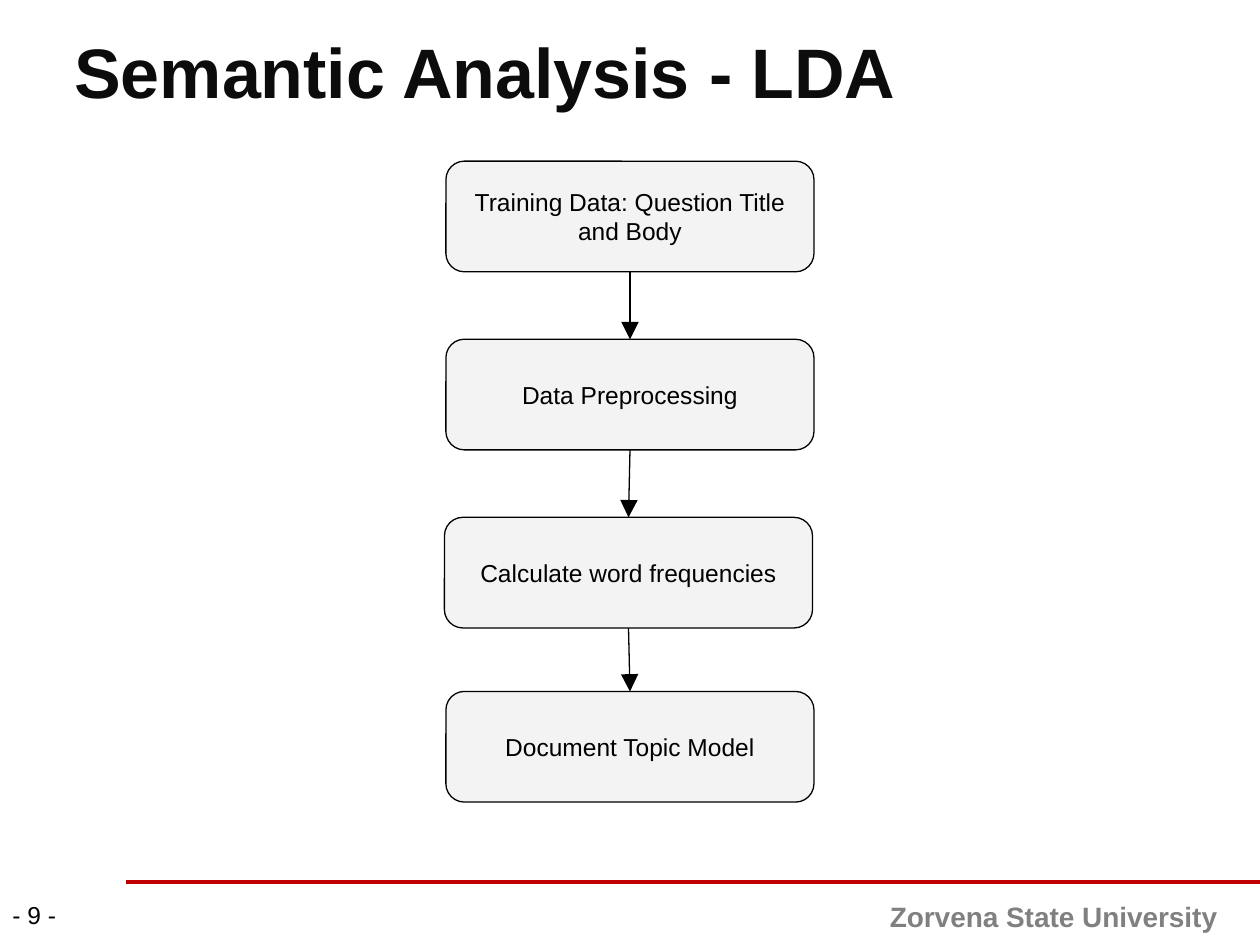
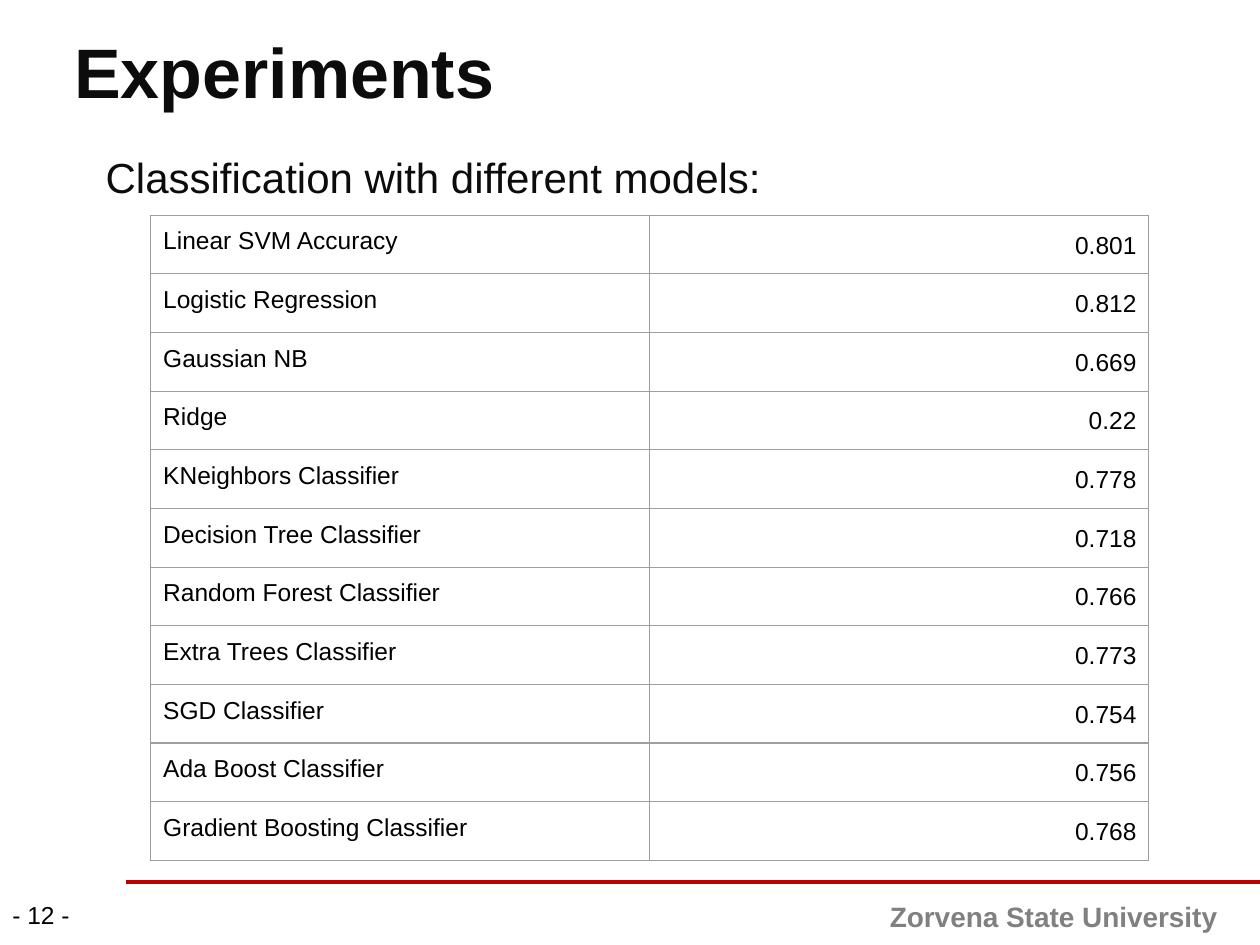
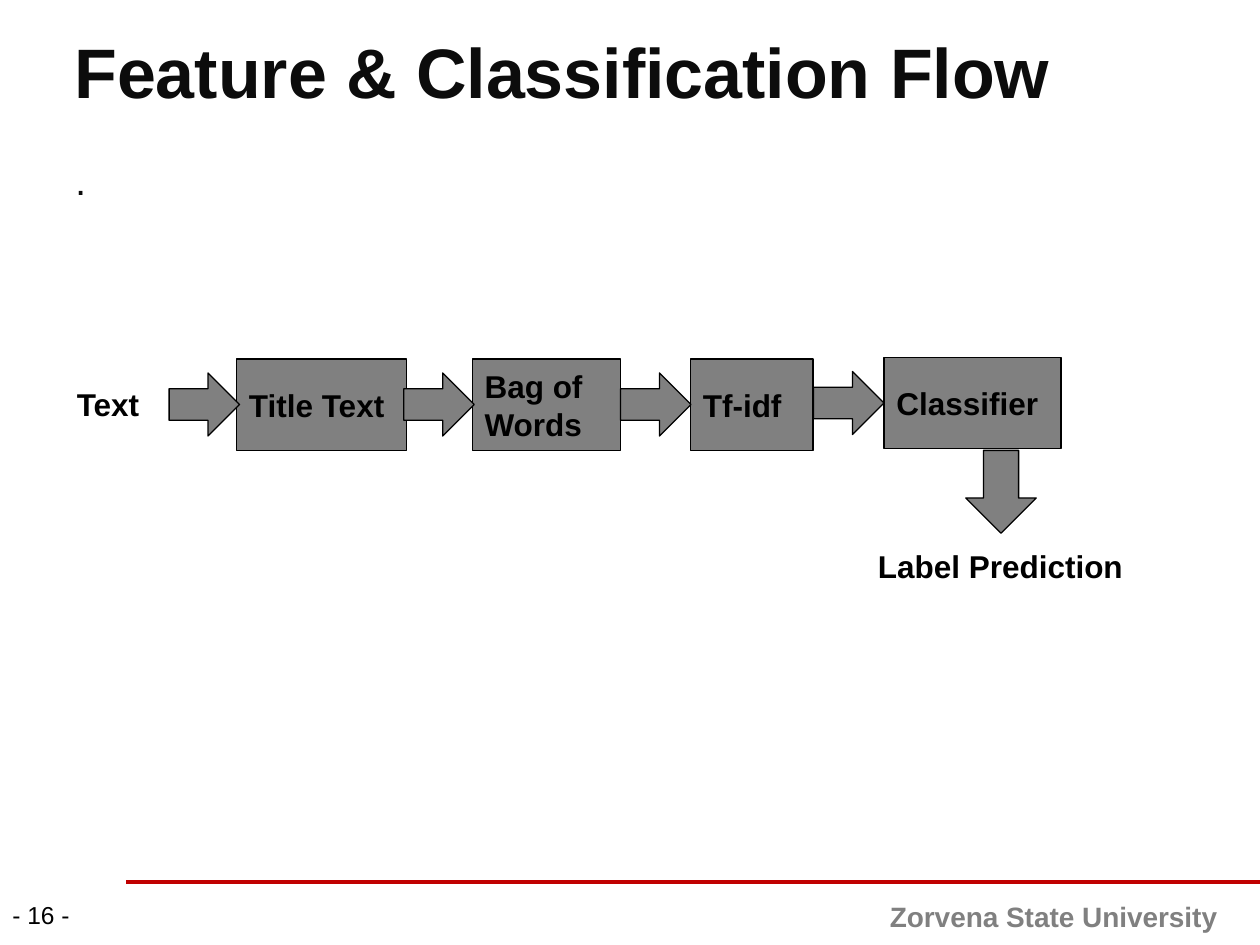
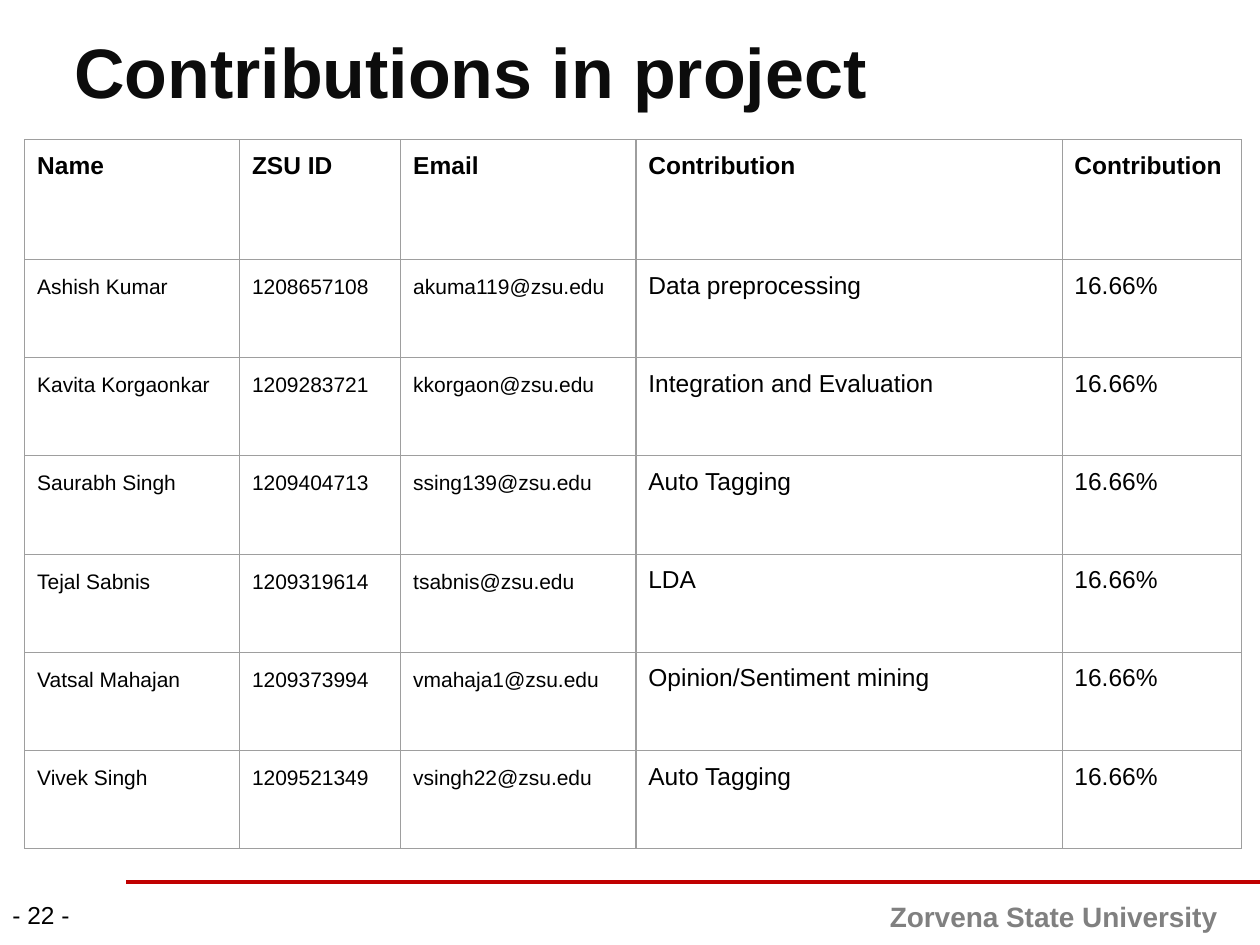
from lxml import etree
from pptx import Presentation
from pptx import util as u
from pptx.dml.color import RGBColor
from pptx.enum import shapes, text
from pptx.oxml import ns

COLORS = {"title": "0C0C0C", "text": "000000", "rule": "C00000", "footer": "808080",
          "step": "F3F3F3", "flow": "808080", "border": "9E9E9E"}
FONT = "Arial"
INSET = 0.25
LEFT, CENTER, RIGHT = text.PP_ALIGN.LEFT, text.PP_ALIGN.CENTER, text.PP_ALIGN.RIGHT
TOP, MIDDLE = text.MSO_ANCHOR.TOP, text.MSO_ANCHOR.MIDDLE


def write(target, content, size=14, color="text", bold=False, align=LEFT, anchor=TOP,
          spacing=1.0, left_inset=INSET, vertical_inset=INSET):
    frame = target.text_frame
    frame.word_wrap = True
    target_box = target if hasattr(target, "vertical_anchor") else frame
    target_box.vertical_anchor = anchor
    target_box.margin_left, target_box.margin_right = u.Cm(left_inset), u.Cm(INSET)
    target_box.margin_top = target_box.margin_bottom = u.Cm(vertical_inset)
    paragraph = frame.paragraphs[0]
    paragraph.alignment = align
    paragraph.line_spacing = spacing
    run = paragraph.add_run()
    run.text = content
    run.font.name, run.font.size, run.font.bold = FONT, u.Pt(size), bold
    run.font.color.rgb = RGBColor.from_string(COLORS[color])


def add_grid(slide, left, top, widths, heights):
    table = slide.shapes.add_table(len(heights), len(widths), u.Cm(left), u.Cm(top),
                                   u.Cm(sum(widths)), u.Cm(sum(heights))).table
    table.first_row = table.horz_banding = False
    for column, width in zip(table.columns, widths):
        column.width = u.Cm(width)
    for row, height in zip(table.rows, heights):
        row.height = u.Cm(height)
    for cell in table.iter_cells():
        cell.fill.background()
        properties = cell._tc.get_or_add_tcPr()
        for index, side in enumerate(("lnL", "lnR", "lnT", "lnB")):
            border = etree.Element(ns.qn(f"a:{side}"), w=str(u.Pt(0.75)))
            fill = etree.SubElement(border, ns.qn("a:solidFill"))
            etree.SubElement(fill, ns.qn("a:srgbClr"), val=COLORS["border"])
            properties.insert(index, border)
    return table


presentation = Presentation()
presentation.slide_width, presentation.slide_height = u.Cm(25.4), u.Cm(19.05)

pages = [("Semantic Analysis - LDA", 9), ("Experiments", 12),
         ("Feature & Classification Flow", 16), ("Contributions in project", 22)]
slides = []
for title, number in pages:
    slide = presentation.slides.add_slide(presentation.slide_layouts[6])
    slides.append(slide)
    rule = slide.shapes.add_connector(shapes.MSO_CONNECTOR.STRAIGHT,
                                      u.Cm(2.54), u.Cm(17.78), u.Cm(25.4), u.Cm(17.78))
    rule.line.color.rgb = RGBColor.from_string(COLORS["rule"])
    rule.line.width = u.Pt(2)
    etree.SubElement(rule._element.spPr, ns.qn("a:effectLst"))
    footer = slide.shapes.add_textbox(u.Cm(12.5), u.Cm(18.01), u.Cm(12.29), u.Cm(1.04))
    write(footer, "Zorvena State University", size=16, color="footer", bold=True,
          align=RIGHT, vertical_inset=0.13)
    heading = slide.shapes.add_textbox(u.Cm(1.25), u.Cm(0.3), u.Cm(22.86), u.Cm(2.24))
    write(heading, title, size=40, color="title", bold=True, anchor=MIDDLE)
    page_number = slide.shapes.add_textbox(0, u.Cm(18.01), u.Cm(1.9), u.Cm(1.04))
    write(page_number, f"- {number} -", vertical_inset=0.13)

lda_slide, experiments_slide, flow_slide, contributions_slide = slides

steps = [("Training Data: Question Title and Body", 8.99, 3.25),
         ("Data Preprocessing", 8.99, 6.84),
         ("Calculate word frequencies", 8.96, 10.43),
         ("Document Topic Model", 8.99, 13.94)]
step_shapes = []
for label, left, top in steps:
    shape = lda_slide.shapes.add_shape(shapes.MSO_SHAPE.ROUNDED_RECTANGLE,
                                       u.Cm(left), u.Cm(top), u.Cm(7.42), u.Cm(2.23))
    shape.shadow.inherit = False
    shape.fill.solid()
    shape.fill.fore_color.rgb = RGBColor.from_string(COLORS["step"])
    shape.line.color.rgb = RGBColor.from_string(COLORS["text"])
    shape.line.width = u.Pt(0.75)
    write(shape, label, align=CENTER, anchor=MIDDLE)
    step_shapes.append(shape)
for upper, lower in zip(step_shapes, step_shapes[1:]):
    arrow = lda_slide.shapes.add_connector(shapes.MSO_CONNECTOR.STRAIGHT, 0, 0, 0, 0)
    arrow.begin_connect(upper, 2)
    arrow.end_connect(lower, 0)
    arrow.line.color.rgb = RGBColor.from_string(COLORS["text"])
    arrow.line.width = u.Pt(0.75)
    etree.SubElement(arrow.line._get_or_add_ln(), ns.qn("a:tailEnd"),
                     type="triangle", w="lg", len="lg")
    etree.SubElement(arrow._element.spPr, ns.qn("a:effectLst"))

introduction = experiments_slide.shapes.add_textbox(u.Cm(1.25), u.Cm(2.6),
                                                    u.Cm(22.86), u.Cm(14.17))
write(introduction, "Classification with different models:", size=24, color="title",
      spacing=1.2, left_inset=0.88)
scores = [("Linear SVM Accuracy", "0.801"), ("Logistic Regression", "0.812"),
          ("Gaussian NB", "0.669"), ("Ridge", "0.22"),
          ("KNeighbors Classifier", "0.778"), ("Decision Tree Classifier", "0.718"),
          ("Random Forest Classifier", "0.766"), ("Extra Trees Classifier", "0.773"),
          ("SGD Classifier", "0.754"), ("Ada Boost Classifier", "0.756"),
          ("Gradient Boosting Classifier", "0.768")]
score_table = add_grid(experiments_slide, 3.04, 4.34, [10.06] * 2, [1.07] * len(scores))
for row, (model, score) in enumerate(scores):
    write(score_table.cell(row, 0), model)
    write(score_table.cell(row, 1), score, align=RIGHT, spacing=1.15)

body = flow_slide.shapes.add_textbox(u.Cm(1.27), u.Cm(2.72), u.Cm(22.86), u.Cm(14.17))
write(body, ".", size=22, color="title", spacing=1.2)
BOX, ARROW, DOWN = (shapes.MSO_SHAPE.RECTANGLE, shapes.MSO_SHAPE.RIGHT_ARROW,
                    shapes.MSO_SHAPE.DOWN_ARROW)
flow = [(BOX, "Title Text", 4.77, 7.24, 3.42, 1.84),
        (BOX, "Bag of Words", 9.52, 7.24, 2.99, 1.84),
        (BOX, "Tf-idf", 13.92, 7.24, 2.47, 1.84),
        (BOX, "Classifier", 17.82, 7.21, 3.57, 1.84),
        (ARROW, "", 3.41, 7.52, 1.42, 1.27),
        (ARROW, "", 8.14, 7.52, 1.42, 1.27),
        (ARROW, "", 12.51, 7.52, 1.42, 1.27),
        (ARROW, "", 16.4, 7.49, 1.42, 1.27),
        (DOWN, "", 19.47, 9.08, 1.42, 1.67)]
for kind, label, left, top, width, height in flow:
    shape = flow_slide.shapes.add_shape(kind, u.Cm(left), u.Cm(top), u.Cm(width), u.Cm(height))
    shape.shadow.inherit = False
    shape.fill.solid()
    shape.fill.fore_color.rgb = RGBColor.from_string(COLORS["flow"])
    shape.line.color.rgb = RGBColor.from_string(COLORS["text"])
    shape.line.width = u.Pt(0.75)
    if label:
        write(shape, label, size=18, bold=True, anchor=MIDDLE)
for label, left, top, width in [("Text", 1.3, 7.52, 2.16),
                                ("Label Prediction", 17.45, 10.77, 5.49)]:
    caption = flow_slide.shapes.add_textbox(u.Cm(left), u.Cm(top), u.Cm(width), u.Cm(1.27))
    write(caption, label, size=18, bold=True)

headers = ["Name", "ZSU ID", "Email", "Contribution", "Contribution"]
members = [("Ashish Kumar", "1208657108", "akuma119", "Data preprocessing"),
           ("Kavita Korgaonkar", "1209283721", "kkorgaon", "Integration and Evaluation"),
           ("Saurabh Singh", "1209404713", "ssing139", "Auto Tagging"),
           ("Tejal Sabnis", "1209319614", "tsabnis", "LDA"),
           ("Vatsal Mahajan", "1209373994", "vmahaja1", "Opinion/Sentiment mining"),
           ("Vivek Singh", "1209521349", "vsingh22", "Auto Tagging")]
member_table = add_grid(contributions_slide, 0.5, 2.82, [4.33, 3.25, 4.74, 8.59, 3.61],
                        [2.41] + [1.98] * len(members))
for column, header in enumerate(headers):
    write(member_table.cell(0, column), header, bold=True)
for row, (name, identifier, account, task) in enumerate(members, start=1):
    for column, value in enumerate([name, identifier, f"{account}@zsu.edu"]):
        write(member_table.cell(row, column), value, size=12, spacing=1.15)
    write(member_table.cell(row, 3), task)
    write(member_table.cell(row, 4), "16.66%")

presentation.save("out.pptx")
